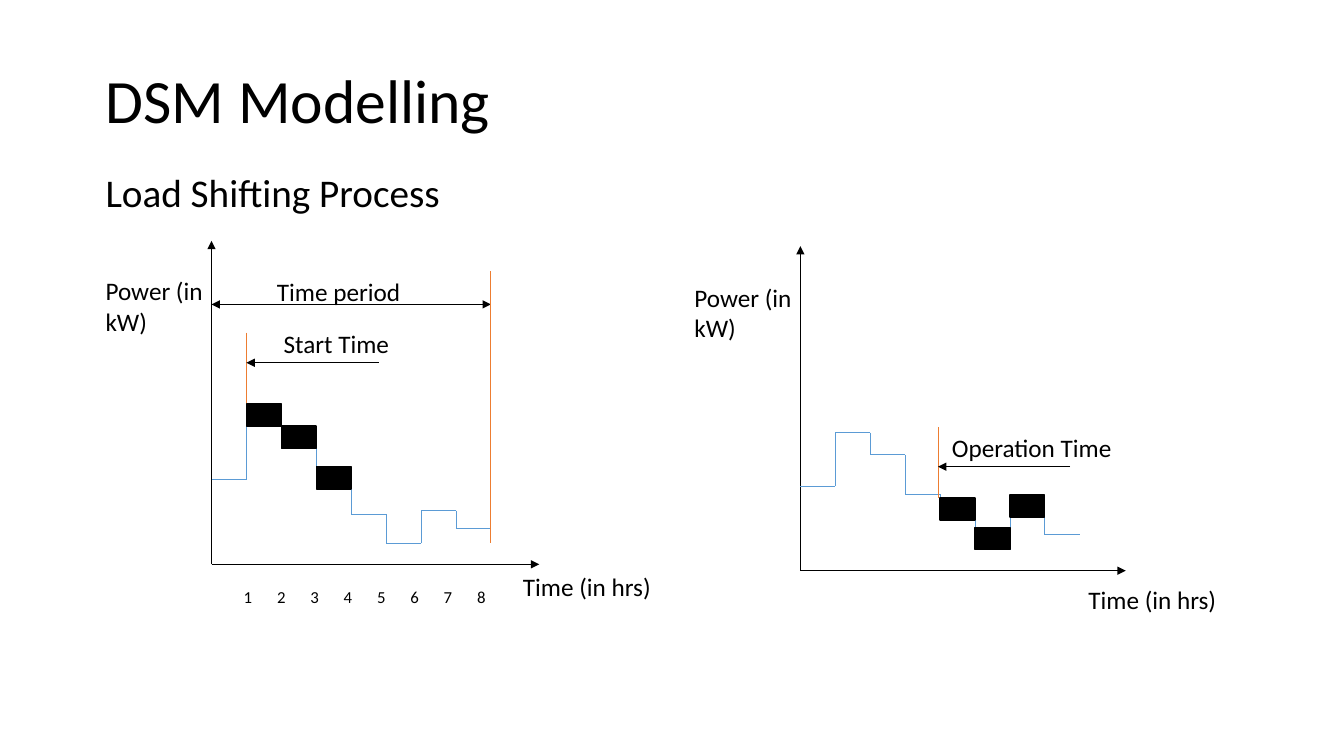
import pptx
import pptx.dml.color
import pptx.enum.shapes
import pptx.enum.text
import pptx.oxml
import pptx.oxml.ns
import pptx.util

Cm = pptx.util.Cm
Pt = pptx.util.Pt
RGB = pptx.dml.color.RGBColor
MSO_ANCHOR = pptx.enum.text.MSO_ANCHOR

BLACK = RGB(0x00, 0x00, 0x00)
BLUE = RGB(0x5B, 0x9B, 0xD5)
ORANGE = RGB(0xED, 0x7D, 0x31)
FONT = "Calibri"
HOUR = 0.88      # width of one hour, in cm
BLOCK = 0.56     # height of one shifted block, in cm


def node(parent, tag, **attrs):
    item = pptx.oxml.parse_xml(f"<{tag} {pptx.oxml.ns.nsdecls('a')}/>")
    for name, value in attrs.items():
        item.set(name, str(value))
    parent.append(item)
    return item


def text(slide, words, left, top, width, height=1.02, size=18):
    box = slide.shapes.add_textbox(Cm(left), Cm(top), Cm(width), Cm(height))
    frame = box.text_frame
    frame.word_wrap = True
    para = frame.paragraphs[0]
    para.text = words
    para.font.name = FONT
    para.font.size = Pt(size)
    para.font.color.rgb = BLACK
    return frame


def line(slide, start, end, color=BLACK, heads=()):
    """Draw a thin line; heads may hold headEnd (at start) and tailEnd (at end)."""
    link = slide.shapes.add_connector(
        pptx.enum.shapes.MSO_CONNECTOR.STRAIGHT,
        Cm(start[0]), Cm(start[1]), Cm(end[0]), Cm(end[1]))
    link.line.color.rgb = color
    link.line.width = Pt(0.5)
    for head in heads:
        node(link.line._get_or_add_ln(), f"a:{head}", type="triangle")
    node(link._element.spPr, "a:effectLst")


def header(slide, left, top, width):
    title = text(slide, "DSM Modelling", left, top, width, 3.68, 44)
    title.vertical_anchor = MSO_ANCHOR.MIDDLE
    sub = text(slide, "Load Shifting Process", left, top + 3.48, width, 1.5, 28)
    for frame in (title, sub):
        frame.paragraphs[0].line_spacing = 0.9


def axes(slide, left, top, width, height, label):
    """Draw both axes; label is the offset of the time caption from the origin."""
    base = top + height
    line(slide, (left, base), (left, top), heads=["tailEnd"])
    line(slide, (left, base), (left + width, base), heads=["tailEnd"])
    text(slide, "Time (in hrs)", left + label[0], base + label[1], 3.96)
    text(slide, "Power (in kW)", left - 2.92, base - 7.4, 3.32)


def curve(slide, left, base, loads):
    """Draw the hourly loads as steps above the base."""
    last = None
    for hour, load in enumerate(loads):
        x, y = left + hour * HOUR, base - load
        if last is not None:
            line(slide, (x, last), (x, y), BLUE)
        line(slide, (x, y), (x + HOUR, y), BLUE)
        last = y


def blocks(slide, left, base, loads, hours, rise):
    """Fill one block per hour, its top raised above the load by rise."""
    for hour in hours:
        rect = slide.shapes.add_shape(
            pptx.enum.shapes.MSO_SHAPE.RECTANGLE,
            Cm(left + hour * HOUR), Cm(base - loads[hour] - rise),
            Cm(HOUR), Cm(BLOCK))
        rect.shadow.inherit = False
        rect.fill.solid()
        rect.fill.fore_color.rgb = BLACK
        rect.line.color.rgb = BLACK
        rect.line.width = Pt(1)


def mark(slide, words, left, top, drop, indent):
    """Draw a guide with a captioned arrow that lies drop below its top."""
    line(slide, (left, top), (left, top + 1.78), ORANGE)
    y = top + drop
    line(slide, (left + 3.33, y), (left, y), heads=["tailEnd"])
    text(slide, words, left + indent, y - 1, 5.31)


def period(slide, left, top, low):
    right = left + 8 * HOUR
    line(slide, (left, top + 0.84), (right, top + 0.84),
         heads=["headEnd", "tailEnd"])
    line(slide, (right, top), (right, low), ORANGE)
    text(slide, "Time period", left + 1.4, top, 5.31)


def scale(slide, left, top):
    words = "".join(f"\t{hour}" for hour in range(1, 9))
    frame = text(slide, words, left, top, 7.29, size=12)
    tabs = pptx.oxml.parse_xml(f"<a:tabLst {pptx.oxml.ns.nsdecls('a')}/>")
    for spot in range(8):
        node(tabs, "a:tab", pos=int(Cm(0.67 + spot * 0.84)), algn="ctr")
    frame.paragraphs[0]._p.get_or_add_pPr().insert(0, tabs)


def before(slide, left, top, width, height):
    base = top + height
    loads = [2.13, 4.04, 3.48, 2.46, 1.27, 0.53, 1.35, 0.91]
    axes(slide, left, top, width, height, (7.6, 0.05))
    curve(slide, left, base, loads)
    blocks(slide, left, base, loads, (1, 2, 3), 0)
    scale(slide, left, base + 0.43)
    period(slide, left, top + 0.76, base - 0.53)
    mark(slide, "Start Time", left + HOUR, top + 2.31, 0.76, 0.69)


def after(slide, left, top, width, height):
    base = top + height
    loads = [2.13, 3.48, 2.92, 1.93, 1.27, 0.53, 1.35, 0.91]
    axes(slide, left, top, width, height, (7.01, 0.23))
    curve(slide, left, base, loads)
    blocks(slide, left, base, loads, (4, 5, 6), BLOCK)
    mark(slide, "Operation Time", left + 4 * HOUR - 0.05, top + 4.57, 0.99, 0.1)


def main():
    deck = pptx.Presentation()
    deck.slide_width, deck.slide_height = Cm(33.87), Cm(19.05)
    slide = deck.slides.add_slide(deck.slide_layouts[6])
    header(slide, 2.41, 0.76, 29.21)
    before(slide, 5.33, 6.07, 8.26, 8.15)
    after(slide, 20.17, 6.2, 8.2, 8.18)
    deck.save("out.pptx")


if __name__ == "__main__":
    main()
